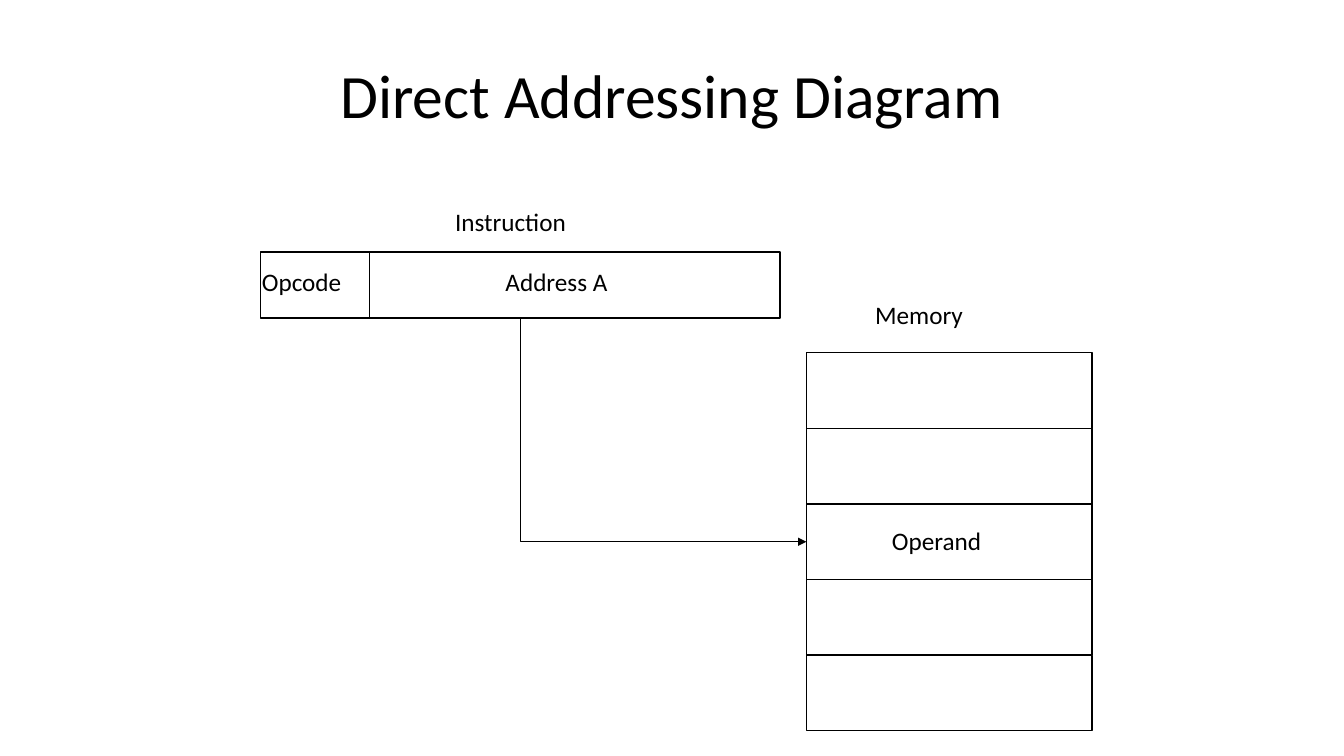
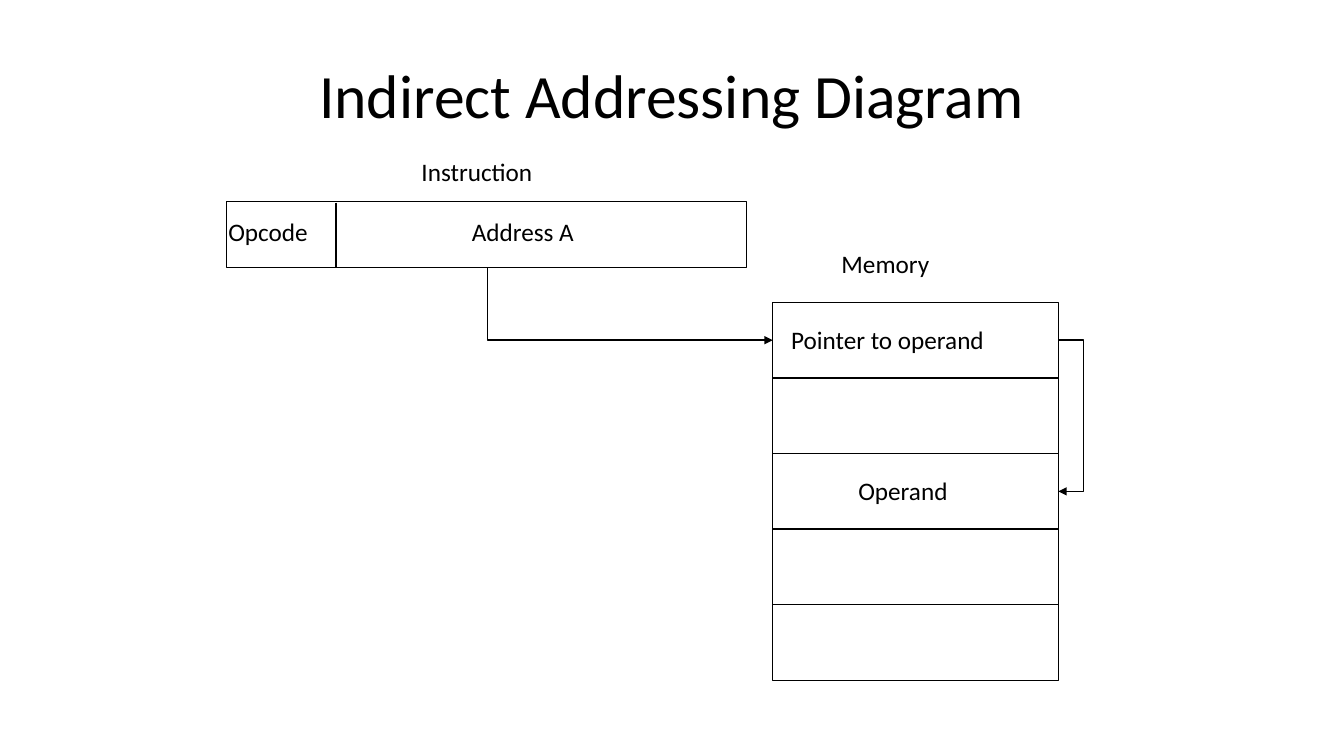
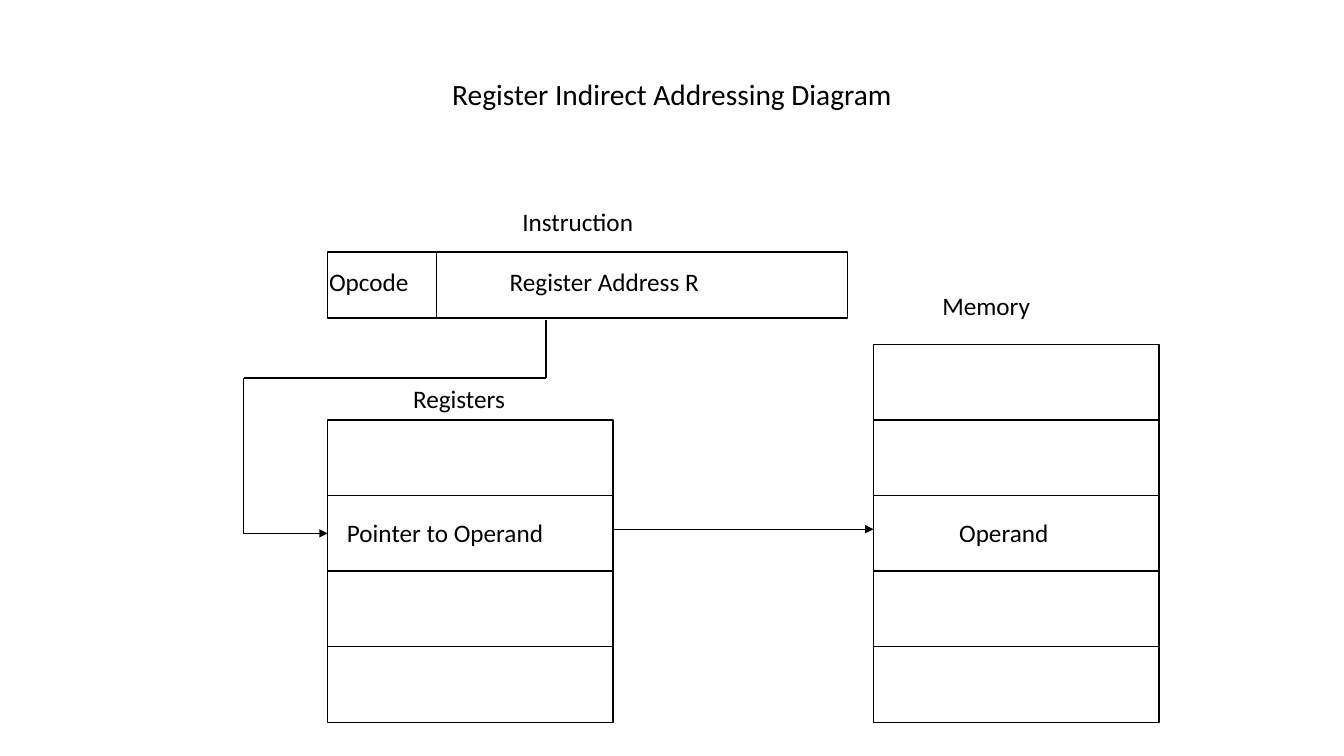
import pptx
import pptx.dml.color
import pptx.enum.shapes
import pptx.enum.text
import pptx.oxml
import pptx.oxml.ns
import pptx.util

PX = 9525
BLACK = pptx.dml.color.RGBColor(0x00, 0x00, 0x00)
FONT = "Calibri"
TITLE_BOX = (64, 29, 1152, 120)
BAR_WIDTH, BAR_HEIGHT, OPCODE_WIDTH = 495, 63, 104
CELL_WIDTH, CELL_HEIGHT = 272, 72
LABEL_HEIGHT = 38
RECTANGLE = pptx.enum.shapes.MSO_SHAPE.RECTANGLE
STRAIGHT = pptx.enum.shapes.MSO_CONNECTOR.STRAIGHT
TITLE_FRAME = {
    "word_wrap": True,
    "auto_size": pptx.enum.text.MSO_AUTO_SIZE.NONE,
    "vertical_anchor": pptx.enum.text.MSO_ANCHOR.MIDDLE,
}
LABEL_FRAME = {
    "word_wrap": False,
    "auto_size": pptx.enum.text.MSO_AUTO_SIZE.SHAPE_TO_FIT_TEXT,
    "vertical_anchor": pptx.enum.text.MSO_ANCHOR.TOP,
}


def scaled(*lengths):
    """Turn px lengths into EMU."""
    return [pptx.util.Emu(length * PX) for length in lengths]


def set_all(target, values):
    """Set every attribute named in values on target."""
    for name, value in values.items():
        setattr(target, name, value)


def write(page, box, text, size, align, frame_format):
    """Place a line of text in a box."""
    text_box = page.shapes.add_textbox(*scaled(*box))
    set_all(text_box.text_frame, frame_format)
    para = text_box.text_frame.paragraphs[0]
    para.alignment = align
    span = para.add_run()
    span.text = text
    set_all(span.font, {"name": FONT, "size": pptx.util.Pt(size)})
    span.font.color.rgb = BLACK


def add_title(page, text, size):
    """Write the centred slide title."""
    write(page, TITLE_BOX, text, size, pptx.enum.text.PP_ALIGN.CENTER, TITLE_FRAME)


def add_label(page, left, top, width, text):
    """Write an unwrapped label."""
    box = (left, top, width, LABEL_HEIGHT)
    write(page, box, text, 18, pptx.enum.text.PP_ALIGN.LEFT, LABEL_FRAME)


def ink(line, weight=1):
    """Draw a line in black."""
    line.color.rgb = BLACK
    line.width = pptx.util.Pt(weight)


def add_head(shape):
    """Put a triangle at the far end of a line."""
    head = pptx.oxml.parse_xml(
        f'<a:tailEnd {pptx.oxml.ns.nsdecls("a")} type="triangle"/>'
    )
    shape.line._get_or_add_ln().append(head)


def add_outline(shapes, left, top, width, height):
    """Draw an unfilled rectangle."""
    shape = shapes.add_shape(RECTANGLE, *scaled(left, top, width, height))
    shape.shadow.inherit = False
    shape.fill.background()
    ink(shape.line)


def add_line(shapes, start, end, weight=1):
    """Draw a straight line and return it."""
    line = shapes.add_connector(STRAIGHT, *scaled(*start, *end))
    line._element.spPr.append(
        pptx.oxml.parse_xml(f'<a:effectLst {pptx.oxml.ns.nsdecls("a")}/>')
    )
    ink(line.line, weight)
    return line


def add_route(page, *points):
    """Draw a bent arrow through the points."""
    builder = page.shapes.build_freeform(*points[0], scale=PX)
    builder.add_line_segments(points[1:], close=False)
    route = builder.convert_to_shape()
    route.shadow.inherit = False
    route.fill.background()
    ink(route.line)
    add_head(route)


def add_instruction(page, left, top, address, address_offset, address_width):
    """Draw the instruction bar with its opcode and address fields."""
    group = page.shapes.add_group_shape()
    divider = left + OPCODE_WIDTH
    add_outline(group.shapes, left, top, BAR_WIDTH, BAR_HEIGHT)
    add_line(group.shapes, (divider, top + 1), (divider, top + BAR_HEIGHT))
    add_label(page, left + address_offset, top + 9, address_width, address)
    add_label(page, left - 8, top + 9, 96, "Opcode")
    add_label(page, left + 176, top - 48, 126, "Instruction")


def add_stack(page, left, top, count, heading, entries):
    """Draw a headed column of cells, with entries given by row."""
    for row in range(count):
        add_outline(page.shapes, left, top + row * CELL_HEIGHT, CELL_WIDTH, CELL_HEIGHT)
    offset_x, offset_y, width, text = heading
    add_label(page, left + offset_x, top + offset_y, width, text)
    for row, (offset, width, text) in entries.items():
        add_label(page, left + offset, top + row * CELL_HEIGHT + 16, width, text)


def add_memory(page, left, top, entries):
    """Draw the five memory cells with the operand in the third."""
    operand = {2: (72, 106, "Operand")}
    add_stack(page, left, top, 5, (56, -56, 104, "Memory"), operand | entries)


def middle(top, row):
    """Return the mid height of a row in a stack."""
    return top + row * CELL_HEIGHT + CELL_HEIGHT // 2


def add_memory_access(page, left, top, row, entries):
    """Draw an instruction whose address points to a memory row."""
    memory_left, memory_top = left + 520, top + 96
    add_instruction(page, left, top, "Address A", 224, 117)
    add_memory(page, memory_left, memory_top, entries)
    start, target = left + 248, middle(memory_top, row)
    add_route(page, (start, top + BAR_HEIGHT), (start, target), (memory_left, target))


def direct_slide(page):
    """Show direct addressing."""
    add_title(page, "Direct Addressing Diagram", 44)
    add_memory_access(page, 248, 240, 2, {})


def indirect_slide(page):
    """Show indirect addressing."""
    add_title(page, "Indirect Addressing Diagram", 44)
    left, top = 216, 192
    add_memory_access(page, left, top, 0, {0: (8, 205, "Pointer to operand")})
    right = left + 520 + CELL_WIDTH
    pointer, operand = middle(top + 96, 0), middle(top + 96, 2)
    add_route(page, (right, pointer), (right + 24, pointer),
              (right + 24, operand), (right, operand))


def register_slide(page):
    """Show register indirect addressing."""
    add_title(page, "Register Indirect Addressing Diagram", 21)
    left, top = 312, 240
    memory_left, register_top = left + 520, top + 160
    add_instruction(page, left, top, "Register Address R", 164, 202)
    add_memory(page, memory_left, top + 88, {})
    add_stack(page, left, register_top, 4, (72, -40, 108, "Registers"),
              {1: (9, 208, "Pointer to Operand")})
    start, corner, turn = left + 208, left - 80, top + 120
    pointer = middle(register_top, 1)
    add_line(page.shapes, (start, top + BAR_HEIGHT + 2), (start, turn))
    add_line(page.shapes, (start, turn), (corner, turn))
    add_route(page, (corner, turn), (corner, pointer), (left, pointer))
    access = pointer - 4
    arrow = add_line(page.shapes, (left + CELL_WIDTH, access), (memory_left, access), 0.75)
    add_head(arrow)


def main():
    """Build and save the deck."""
    deck = pptx.Presentation()
    deck.slide_width, deck.slide_height = scaled(1280, 720)
    for build in (direct_slide, indirect_slide, register_slide):
        build(deck.slides.add_slide(deck.slide_layouts[6]))
    deck.save("out.pptx")


if __name__ == "__main__":
    main()
